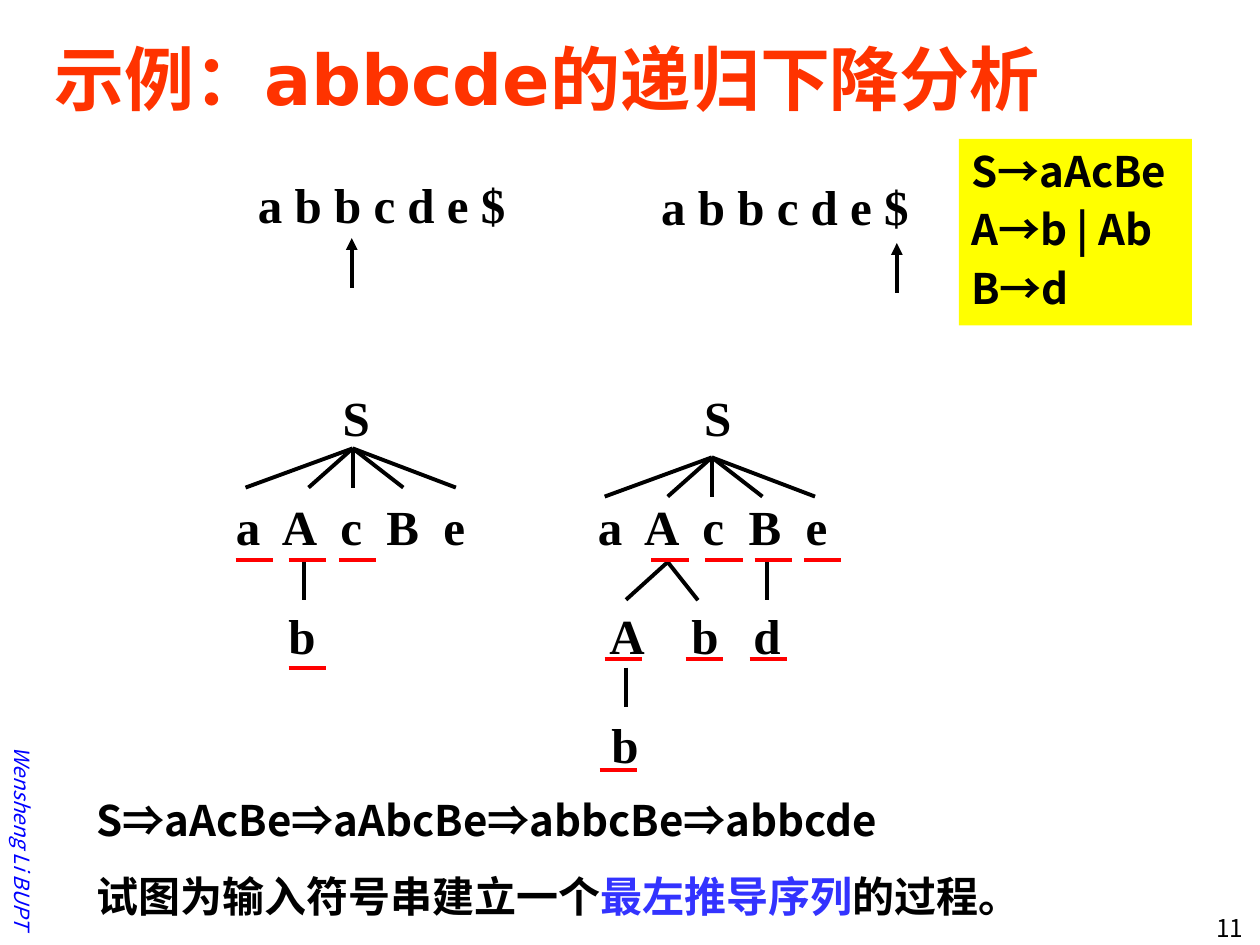
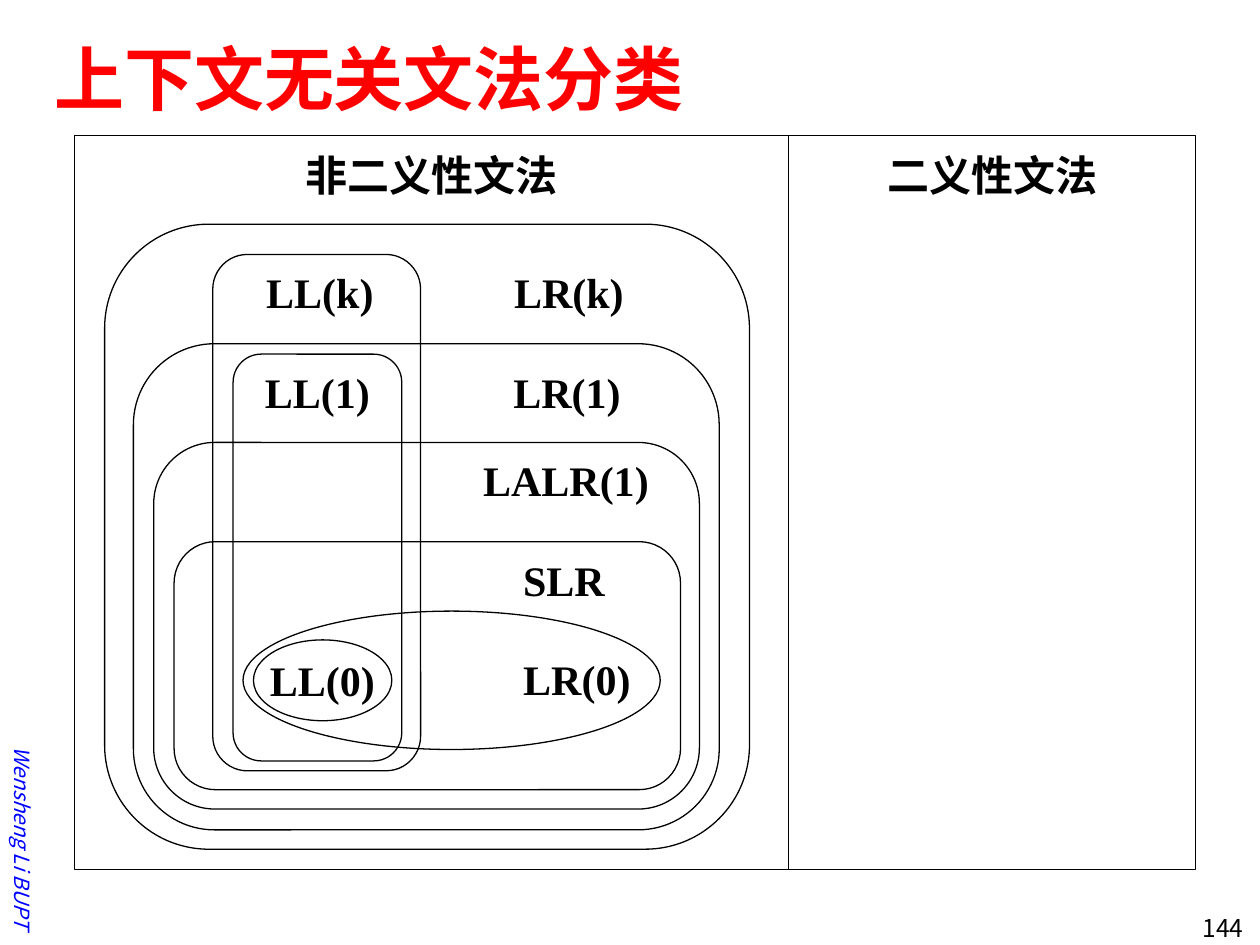
"""Build two slides on recursive descent parsing and grammar classes."""
from lxml import etree
from pptx import Presentation
from pptx.dml.color import RGBColor
from pptx.enum import shapes, text
from pptx.oxml.ns import qn
from pptx.util import Cm, Pt

BLACK = RGBColor(0, 0, 0)
WHITE = RGBColor(255, 255, 255)
RED = RGBColor(255, 0, 0)
ORANGE = RGBColor(0xFF, 0x33, 0)
YELLOW = RGBColor(255, 255, 0)
BLUE = RGBColor(0, 0, 255)
ACCENT = RGBColor(0x33, 0x33, 0xFF)
SANS, SERIF, DEJAVU = "Noto Sans CJK SC", "Times New Roman", "DejaVu Sans"

TITLE = dict(name=SANS, size=Pt(40), bold=True)
BODY = dict(name=SANS, size=Pt(24), bold=True)
LABEL = dict(name=SERIF, size=Pt(24), bold=True)
SYMBOL = dict(name=SERIF, size=Pt(28), bold=True)
AUTHOR = dict(name=SANS, size=Pt(12), italic=True)
NUMBER = dict(name=SANS, size=Pt(14))
CENTER, RIGHT = text.PP_ALIGN.CENTER, text.PP_ALIGN.RIGHT
TOP, MIDDLE = text.MSO_ANCHOR.TOP, text.MSO_ANCHOR.MIDDLE
ROUND, OVAL = shapes.MSO_SHAPE.ROUNDED_RECTANGLE, shapes.MSO_SHAPE.OVAL

RULES = ["S→aAcBe", "A→b | Ab", "B→d"]
DERIVATION = [
    ["S⇒aAcBe⇒aAbcBe⇒abbcBe⇒abbcde"],
    ["试图为输入符号串建立一个", ("最左推导序列", ACCENT), "的过程。"],
]
INPUTS = [((4.95, 3.4), (7.09, 4.8)), ((13.08, 3.43), (18.08, 4.9))]
ROW_TOP, ROW_STEP = 8.4, 2.2
SENTENCE, SENTENCE_STEP = "aAcBe", 1.04
FAN_X, FAN_DROP = (-2.16, -0.89, 0, 1.02, 2.08), 0.79
TREES = [
    dict(root=7.18, first=5.0, apex=(7.11, 9.04),
         nodes=[("b", 6.09, 2)],
         edges=[(6.12, 11.3, 6.12, 12.09)],
         matched={11.29: (4.75, 5.82, 6.83), 13.46: (5.82,)}),
    dict(root=14.47, first=12.3, apex=(14.35, 9.22),
         nodes=[("A", 12.64, 2), ("b", 14.21, 2), ("d", 15.46, 2), ("b", 12.6, 3)],
         edges=[(13.46, 11.33, 12.62, 12.09), (13.46, 11.33, 14.07, 12.1),
                (15.47, 11.3, 15.47, 12.09), (12.62, 13.46, 12.62, 14.25)],
         matched={11.28: (13.13, 14.22, 15.21, 16.21),
                  13.28: (12.19, 13.82, 15.11), 15.52: (12.09,)}),
]
MATCH_WIDTH = 0.75

PANELS = [("非二义性文法", 1.5, 14.4), ("二义性文法", 15.9, 8.2)]
CLASSES = [
    ("LR(k)", ROUND, (2.11, 4.52, 13, 12.6), (11.47, 5.89)),
    ("LL(k)", ROUND, (4.29, 5.13, 4.19, 10.41), (6.45, 5.89)),
    ("LR(1)", ROUND, (2.69, 6.93, 11.81, 9.8), (11.43, 7.9)),
    ("LL(1)", ROUND, (4.7, 7.14, 3.4, 8.2), (6.4, 7.9)),
    ("LALR(1)", ROUND, (3.1, 8.92, 11, 7.39), (11.41, 9.68)),
    ("SLR", ROUND, (3.51, 10.92, 10.21, 5), (11.37, 11.68)),
    ("LR(0)", OVAL, (4.9, 12.32, 8.41, 2.79), (11.63, 13.69)),
    ("LL(0)", OVAL, (5.11, 12.9, 2.79, 1.63), (6.5, 13.7)),
]


def add_run(p, words, fmt, color=BLACK):
    r = p.add_run()
    r.text = words
    for key, value in fmt.items():
        setattr(r.font, key, value)
    r.font.color.rgb = color
    ea = etree.SubElement(r.font._element, qn("a:ea"))
    ea.set("typeface", SANS)


def write(sp, lines, fmt, color=BLACK, anchor=TOP, wrap=True, **para):
    tf = sp.text_frame
    for key, value in dict(word_wrap=wrap, vertical_anchor=anchor).items():
        setattr(tf, key, value)
    for i, line in enumerate(lines):
        p = tf.add_paragraph() if i else tf.paragraphs[0]
        for key, value in para.items():
            setattr(p, key, value)
        for part in [line] if isinstance(line, str) else line:
            words, tint = (part, color) if isinstance(part, str) else part
            add_run(p, words, fmt, tint)
    return tf


def add_text(slide, box, lines, fmt, **options):
    sp = slide.shapes.add_textbox(*map(Cm, box))
    write(sp, lines, fmt, **options)
    return sp


def add_label(slide, words, x, y, fmt):
    w, h = 4.4, 1.4
    add_text(slide, (x - w / 2, y - h / 2, w, h), [words], fmt,
             anchor=MIDDLE, alignment=CENTER)


def add_outline(slide, kind, box, fill=None, line=BLACK):
    sp = slide.shapes.add_shape(kind, *map(Cm, box))
    sp.shadow.inherit = False
    if fill is None:
        sp.fill.background()
    else:
        sp.fill.solid()
        sp.fill.fore_color.rgb = fill
    if line is None:
        sp.line.fill.background()
    else:
        sp.line.color.rgb = line
        sp.line.width = Pt(0.75)
    return sp


def add_line(slide, ends, color=BLACK, arrow=False):
    c = slide.shapes.add_connector(shapes.MSO_CONNECTOR.STRAIGHT, *map(Cm, ends))
    c.line.color.rgb = color
    c.line.width = Pt(2.25)
    if arrow:
        etree.SubElement(c.line._get_or_add_ln(), qn("a:tailEnd"), type="triangle")
    etree.SubElement(c._element.spPr, qn("a:effectLst"))


def add_slide(prs, number, color, title_parts):
    slide = prs.slides.add_slide(prs.slide_layouts[5])
    title = slide.shapes.title
    box = dict(left=0.84, top=0.4, width=23.93, height=2.34)
    for key, value in box.items():
        setattr(title, key, Cm(value))
    tf = write(title, [[]], TITLE, anchor=MIDDLE, alignment=text.PP_ALIGN.LEFT)
    for words, font in title_parts:
        add_run(tf.paragraphs[0], words, {**TITLE, "name": font}, color)
    author = add_text(slide, (-2.9, 15.24, 6.71, 0.76), ["Wensheng Li BUPT"],
                      AUTHOR, color=BLUE, anchor=MIDDLE, alignment=RIGHT)
    author.rotation = 90
    add_text(slide, (22.83, 18.29, 2.49, 0.76), [number], NUMBER, alignment=RIGHT)
    return slide


def draw_tree(slide, tree):
    x, y = tree["apex"]
    sentence = [(c, tree["first"] + i * SENTENCE_STEP, 1)
                for i, c in enumerate(SENTENCE)]
    for words, cx, row in [("S", tree["root"], 0), *sentence, *tree["nodes"]]:
        add_label(slide, words, cx, ROW_TOP + row * ROW_STEP, SYMBOL)
    fan = [(x, y, x + dx, y + FAN_DROP) for dx in FAN_X]
    for edge in fan + tree["edges"]:
        add_line(slide, edge)
    for line_y, starts in tree["matched"].items():
        for start in starts:
            add_line(slide, (start, line_y, start + MATCH_WIDTH, line_y), RED)


def build_descent(prs):
    slide = add_slide(prs, "11", ORANGE,
                      [("示例：", SANS), ("abbcde的递归下降分析", DEJAVU)])
    rules = add_outline(slide, shapes.MSO_SHAPE.RECTANGLE,
                        (19.33, 2.8, 4.7, 3.76), YELLOW, None)
    write(rules, RULES, BODY, space_before=Pt(4.8), alignment=text.PP_ALIGN.LEFT)
    for (left, top), (x, y) in INPUTS:
        add_text(slide, (left, top, 5.61, 1.37), ["a b b c d e $"], SYMBOL, wrap=False)
        add_line(slide, (x, y + 1, x, y), arrow=True)
    for tree in TREES:
        draw_tree(slide, tree)
    add_text(slide, (1.7, 15.39, 19.43, 3.33), DERIVATION, BODY,
             wrap=False, line_spacing=1.5)


def build_classes(prs):
    slide = add_slide(prs, "144", RED, [("上下文无关文法分类", SANS)])
    for words, left, width in PANELS:
        sp = add_outline(slide, shapes.MSO_SHAPE.RECTANGLE,
                         (left, 2.73, width, 14.8), WHITE)
        write(sp, [words], LABEL, alignment=CENTER).margin_top = Cm(0.29)
    for words, kind, box, (x, y) in CLASSES:
        add_outline(slide, kind, box)
        add_label(slide, words, x, y, LABEL)


def main():
    prs = Presentation()
    prs.slide_width, prs.slide_height = Cm(25.4), Cm(19.05)
    build_descent(prs)
    build_classes(prs)
    prs.save("out.pptx")


if __name__ == "__main__":
    main()
